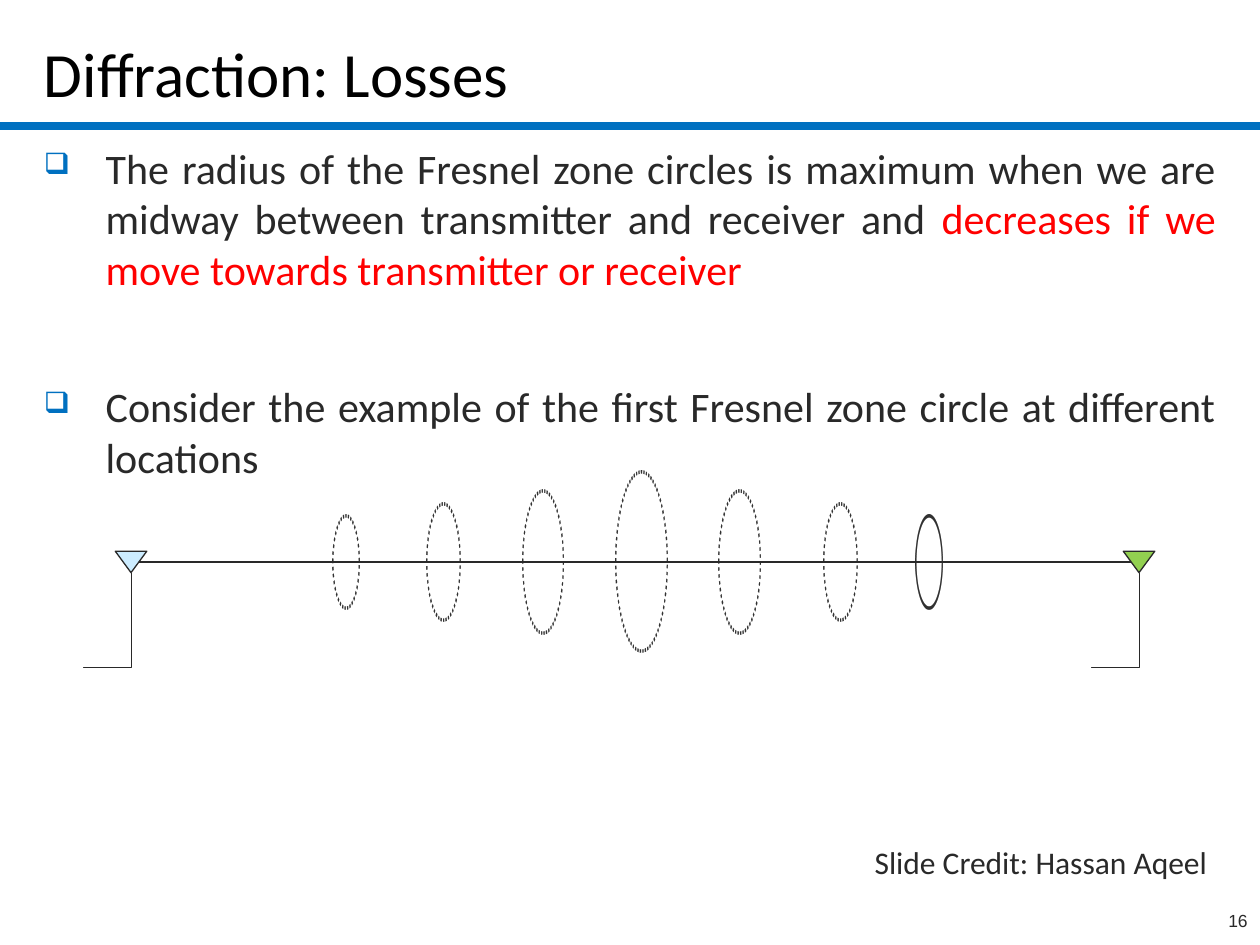
from dataclasses import dataclass

from lxml import etree
from pptx import Presentation
from pptx.dml.color import RGBColor
from pptx.enum.dml import MSO_LINE
from pptx.enum.shapes import MSO_CONNECTOR, MSO_SHAPE
from pptx.enum.text import MSO_ANCHOR, PP_ALIGN
from pptx.oxml.ns import qn
from pptx.util import Inches, Pt

STRAIGHT, ELBOW = MSO_CONNECTOR.STRAIGHT, MSO_CONNECTOR.ELBOW
CIRCLE, ANTENNA = MSO_SHAPE.FLOWCHART_CONNECTOR, MSO_SHAPE.FLOWCHART_MERGE
DOTTED, SOLID = MSO_LINE.ROUND_DOT, MSO_LINE.SOLID
TOP, BOTTOM = MSO_ANCHOR.TOP, MSO_ANCHOR.BOTTOM
LEFT, RIGHT, JUSTIFY = PP_ALIGN.LEFT, PP_ALIGN.RIGHT, PP_ALIGN.JUSTIFY


@dataclass(frozen=True)
class Theme:
    ink: str = "292929"
    title: str = "000000"
    accent: str = "0070C0"
    warning: str = "FF0000"
    transmitter: str = "CCECFF"
    receiver: str = "92D050"
    font: str = "Calibri"
    number_font: str = "Arial"
    title_size: int = 36
    body_size: int = 24
    credit_size: int = 18
    number_size: int = 10


@dataclass(frozen=True)
class Label:
    text: str
    left: float
    top: float
    width: float
    height: float
    size: int
    color: str
    font: str
    align: PP_ALIGN
    anchor: MSO_ANCHOR = TOP


@dataclass(frozen=True)
class Bullet:
    runs: tuple
    space_before: float


@dataclass(frozen=True)
class Zone:
    center: float
    width: float
    dash: MSO_LINE = DOTTED


@dataclass(frozen=True)
class Station:
    center: float
    color: str


THEME = Theme()
AXIS_Y = 4.46
ZONE_RATIO = 1.2  # height to width
LABELS = (
    Label("Diffraction: Losses", 0.25, 0.11, 9.5, 0.81, THEME.title_size,
          THEME.title, THEME.font, LEFT, BOTTOM),
    Label("Slide Credit: Hassan Aqeel", 4.45, 6.64, 5.23, 0.4, THEME.credit_size,
          THEME.ink, THEME.font, RIGHT),
    Label("16", 7.92, 7.17, 2.08, 0.33, THEME.number_size,
          THEME.ink, THEME.number_font, RIGHT),
)
BULLETS = (
    Bullet((("The radius of the Fresnel zone circles is maximum when we are midway "
             "between transmitter and receiver and ", THEME.ink),
            ("decreases if we move towards transmitter or receiver", THEME.warning)), 0),
    Bullet((("Consider the example of the first Fresnel zone circle at different "
             "locations", THEME.ink),), 44),
)
ZONES = (
    Zone(2.75, 0.6), Zone(3.52, 0.76), Zone(4.31, 0.94), Zone(5.09, 1.18),
    Zone(5.87, 0.94), Zone(6.67, 0.76), Zone(7.37, 0.6, SOLID),
)
STATIONS = (Station(1.04, THEME.transmitter), Station(9.04, THEME.receiver))


def rgb(color: str) -> RGBColor:
    return RGBColor.from_string(color)


def add_box(slide, left: float, top: float, width: float, height: float,
            anchor: MSO_ANCHOR = TOP):
    box = slide.shapes.add_textbox(Inches(left), Inches(top), Inches(width), Inches(height))
    box.text_frame.word_wrap = True
    box.text_frame.vertical_anchor = anchor
    return box.text_frame


def add_label(slide, label: Label) -> None:
    frame = add_box(slide, label.left, label.top, label.width, label.height, label.anchor)
    para = frame.paragraphs[0]
    para.text = label.text
    para.alignment = label.align
    para.font.size = Pt(label.size)
    para.font.name = label.font
    para.font.color.rgb = rgb(label.color)


def set_bullet_mark(para) -> None:
    properties = para._p.get_or_add_pPr()
    properties.set("marL", str(Inches(0.49)))
    properties.set("indent", str(Inches(-0.49)))
    color = etree.SubElement(properties, qn("a:buClr"))
    etree.SubElement(color, qn("a:srgbClr"), val=THEME.accent)
    etree.SubElement(properties, qn("a:buSzPct"), val="70000")
    etree.SubElement(properties, qn("a:buChar"), char="❑")


def add_bullets(slide, bullets: tuple) -> None:
    frame = add_box(slide, 0.25, 1.08, 9.5, 5.62)
    for index, bullet in enumerate(bullets):
        para = frame.add_paragraph() if index else frame.paragraphs[0]
        set_bullet_mark(para)
        para.alignment = JUSTIFY
        para.space_before = Pt(bullet.space_before)
        para.space_after = Pt(6)
        para.font.size = Pt(THEME.body_size)
        para.font.name = THEME.font
        for text, color in bullet.runs:
            span = para.add_run()
            span.text = text
            span.font.color.rgb = rgb(color)


def add_line(slide, kind: MSO_CONNECTOR, left: float, top: float, right: float,
             bottom: float, color: str = THEME.ink, weight: float = 0.75):
    line = slide.shapes.add_connector(kind, Inches(left), Inches(top),
                                      Inches(right), Inches(bottom))
    line.line.color.rgb = rgb(color)
    line.line.width = Pt(weight)
    etree.SubElement(line._element.spPr, qn("a:effectLst"))
    return line


def add_outlined(slide, kind: MSO_SHAPE, center: float, width: float, height: float,
                 weight: float):
    """Add a shape centred on the transmission axis."""
    shape = slide.shapes.add_shape(kind, Inches(center - width / 2),
                                   Inches(AXIS_Y - height / 2),
                                   Inches(width), Inches(height))
    shape.shadow.inherit = False
    shape.line.color.rgb = rgb(THEME.ink)
    shape.line.width = Pt(weight)
    return shape


def add_zone(slide, zone: Zone) -> None:
    """Add a Fresnel circle turned 70 degrees about its vertical axis."""
    circle = add_outlined(slide, CIRCLE, zone.center, zone.width,
                          zone.width * ZONE_RATIO, 2)
    circle.fill.background()
    circle.line.dash_style = zone.dash
    scene = etree.SubElement(circle._element.spPr, qn("a:scene3d"))
    camera = etree.SubElement(scene, qn("a:camera"), prst="orthographicFront")
    etree.SubElement(camera, qn("a:rot"), lat="0", lon="4200000", rev="0")
    etree.SubElement(scene, qn("a:lightRig"), rig="threePt", dir="t")


def add_station(slide, station: Station) -> None:
    antenna = add_outlined(slide, ANTENNA, station.center, 0.25, 0.17, 0.75)
    antenna.fill.solid()
    antenna.fill.fore_color.rgb = rgb(station.color)
    left = station.center - 0.56
    mast = add_line(slide, ELBOW, left, 4.73, left + 0.75, 5.11)
    properties = mast._element.spPr
    properties.find(qn("a:xfrm")).set("rot", "5400000")
    guides = properties.find(qn("a:prstGeom")).get_or_add_avLst()
    etree.SubElement(guides, qn("a:gd"), name="adj1", fmla="val 100500")


def main() -> None:
    deck = Presentation()
    deck.slide_width, deck.slide_height = Inches(10), Inches(7.5)
    page = deck.slides.add_slide(deck.slide_layouts[6])
    add_line(page, STRAIGHT, 0, 1, 10, 1, THEME.accent, 5)
    add_bullets(page, BULLETS)
    for zone in ZONES:
        add_zone(page, zone)
    for label in LABELS:
        add_label(page, label)
    add_line(page, STRAIGHT, 1.1, AXIS_Y, 8.98, AXIS_Y)
    for station in STATIONS:
        add_station(page, station)
    deck.save("out.pptx")


if __name__ == "__main__":
    main()
